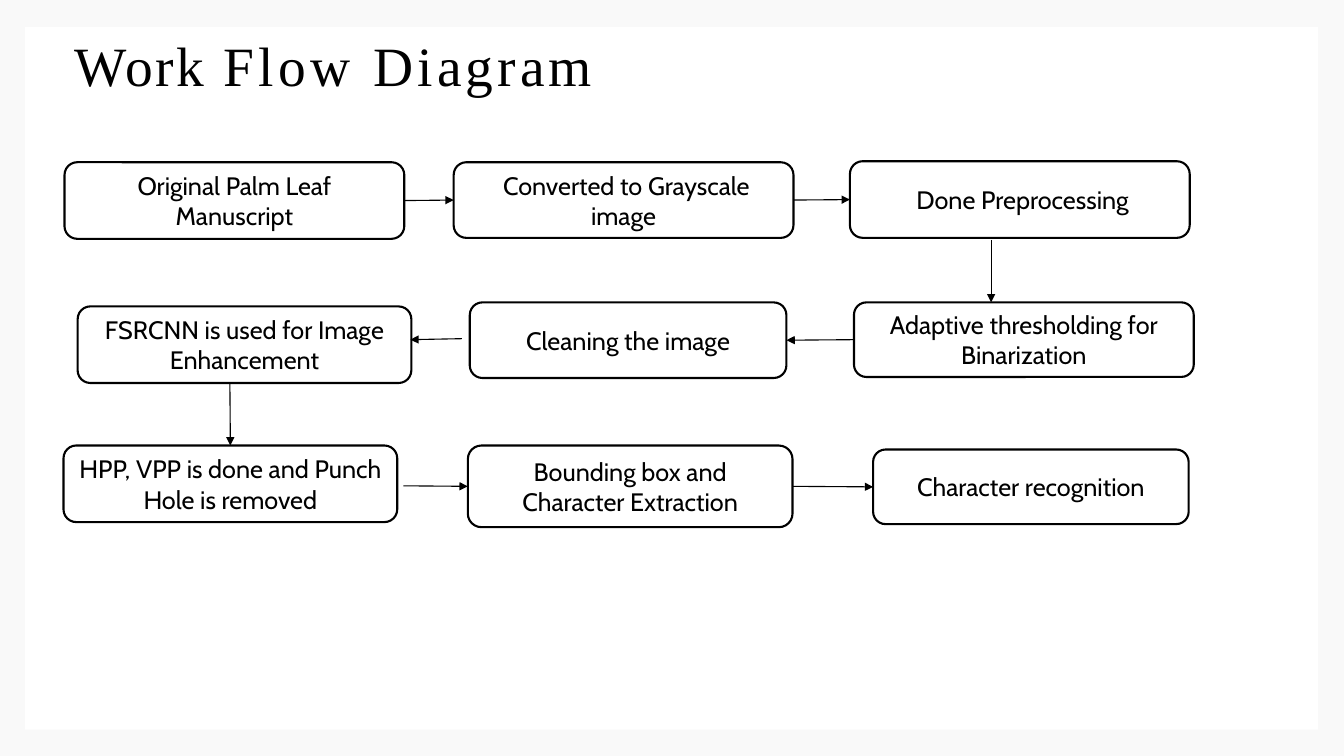
"""Build the work flow diagram slide: nine steps winding through three rows."""
from lxml.etree import SubElement
from pptx import Presentation
from pptx.dml.color import RGBColor
from pptx.enum.shapes import MSO_CONNECTOR, MSO_SHAPE
from pptx.enum.text import MSO_ANCHOR, PP_ALIGN
from pptx.oxml.ns import qn
from pptx.util import Inches, Pt

BLACK = RGBColor(0x00, 0x00, 0x00)
WHITE = RGBColor(0xFF, 0xFF, 0xFF)
PALE = RGBColor(0xF9, 0xF9, 0xF9)

TITLE = [("Work ", 180), ("Flow ", 330), ("Diagram", 290)]
TITLE_FONT = {"name": "Times New Roman", "size": Pt(39.6), "bold": False}
STEP_FONT = {"name": "Cabin", "size": Pt(18)}

STEPS = {
    "source": ("Original Palm Leaf Manuscript", 0.64, 1.61, 3.37, 0.76),
    "gray": (" Converted to Grayscale image", 4.5, 1.61, 3.37, 0.75),
    "prep": (" Done Preprocessing", 8.43, 1.6, 3.37, 0.76),
    "binary": ("Adaptive thresholding for Binarization", 8.47, 3, 3.37, 0.74),
    "clean": ("Cleaning the image", 4.66, 3, 3.14, 0.75),
    "enhance": ("FSRCNN is used for Image Enhancement", 0.77, 3.04, 3.31, 0.76),
    "punch": ("HPP, VPP is done and Punch Hole is removed", 0.63, 4.42, 3.31, 0.76),
    "extract": ("Bounding box and Character Extraction", 4.64, 4.42, 3.22, 0.81),
    "recognize": ("Character recognition", 8.66, 4.46, 3.13, 0.74),
}

TOP, LEFT, BOTTOM, RIGHT = range(4)
ARROWS = [
    (("source", RIGHT), ("gray", LEFT)),
    (("gray", RIGHT), ("prep", LEFT)),
    ((9.83, 2.38), (9.83, 3)),
    (("binary", LEFT), ("clean", RIGHT)),
    ((4.58, 3.36), (4.07, 3.37)),
    ((2.28, 3.8), ("punch", TOP)),
    ((4, 4.82), ("extract", LEFT)),
    (("extract", RIGHT), ("recognize", LEFT)),
]


def style_font(font, values):
    for key, value in values.items():
        setattr(font, key, value)
    font.color.rgb = BLACK


def add_block(slide, kind, left, top, width, height):
    sp = slide.shapes.add_shape(kind, *map(Inches, (left, top, width, height)))
    sp.shadow.inherit = False
    sp.fill.solid()
    sp.fill.fore_color.rgb = WHITE
    return sp


def add_panel(slide):
    panel = add_block(slide, MSO_SHAPE.RECTANGLE, 0.25, 0.27, 12.82, 6.97)
    panel.line.fill.background()
    title = slide.shapes.title
    title._element.addprevious(panel._element)


def add_title(slide):
    title = slide.shapes.title
    place = {"left": 0.64, "top": 0.41, "width": 11.5, "height": 0.55}
    for key, value in place.items():
        setattr(title, key, Inches(value))
    tf = title.text_frame
    tf.vertical_anchor = MSO_ANCHOR.MIDDLE
    p = tf.paragraphs[0]
    p.alignment = PP_ALIGN.LEFT
    p.line_spacing = 0.9
    for text, spacing in TITLE:
        r = p.add_run()
        r.text = text
        style_font(r.font, TITLE_FONT)
        r.font._element.set("spc", str(spacing))


def add_step(slide, text, *place):
    sp = add_block(slide, MSO_SHAPE.ROUNDED_RECTANGLE, *place)
    sp.line.color.rgb = BLACK
    sp.line.width = Pt(1.5)
    tf = sp.text_frame
    tf.word_wrap = True
    tf.vertical_anchor = MSO_ANCHOR.MIDDLE
    p = tf.paragraphs[0]
    p.alignment = PP_ALIGN.CENTER
    r = p.add_run()
    r.text = text
    style_font(r.font, STEP_FONT)
    return sp


def add_arrow(slide, steps, start, end):
    points = [(0, 0) if pt[0] in steps else pt for pt in (start, end)]
    coords = [Inches(v) for pt in points for v in pt]
    arrow = slide.shapes.add_connector(MSO_CONNECTOR.STRAIGHT, *coords)
    for join, (name, side) in ((arrow.begin_connect, start), (arrow.end_connect, end)):
        if name in steps:
            join(steps[name], side)
    arrow.line.color.rgb = BLACK
    arrow.line.width = Pt(0.79)
    SubElement(arrow.line._get_or_add_ln(), qn("a:tailEnd"), type="triangle")
    SubElement(arrow._element.spPr, qn("a:effectLst"))


def main():
    prs = Presentation()
    prs.slide_width, prs.slide_height = Inches(13.33), Inches(7.5)
    slide = prs.slides.add_slide(prs.slide_layouts[5])
    slide.background.fill.solid()
    slide.background.fill.fore_color.rgb = PALE
    add_panel(slide)
    add_title(slide)
    steps = {name: add_step(slide, *step) for name, step in STEPS.items()}
    for start, end in ARROWS:
        add_arrow(slide, steps, start, end)
    prs.save("out.pptx")


if __name__ == "__main__":
    main()
